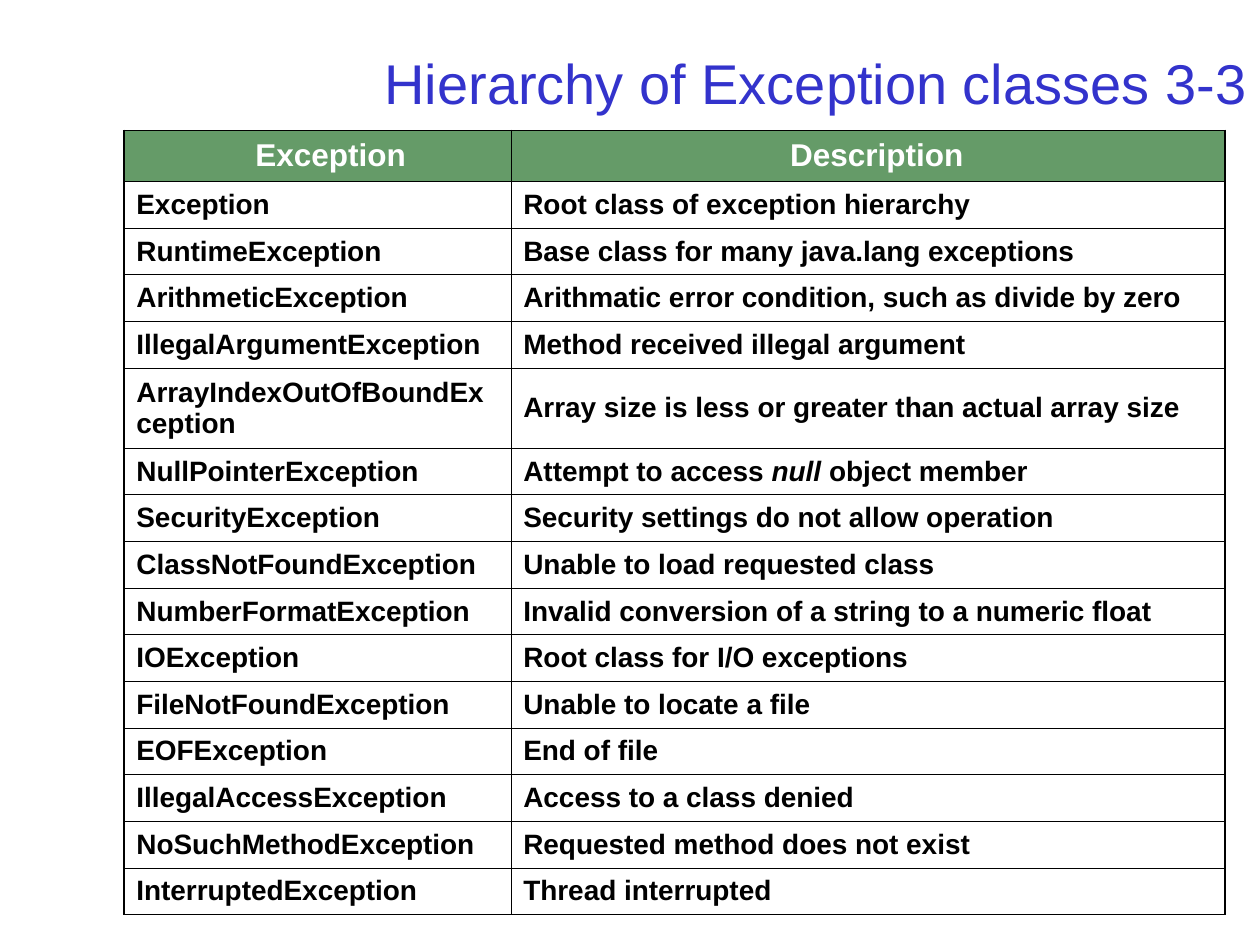
from dataclasses import dataclass

from lxml.etree import SubElement
from pptx import Presentation
from pptx.dml.color import RGBColor
from pptx.enum.text import MSO_ANCHOR as Anchor, PP_ALIGN as Align
from pptx.oxml.ns import qn
from pptx.slide import Slide
from pptx.table import _Cell as Cell
from pptx.text.text import _Paragraph as Paragraph
from pptx.util import Cm, Pt

COLOURS = {"title": "3333CC", "header": "659B68", "header_text": "FFFFFF",
           "body": "FFFFFF", "body_text": "000000", "border": "000000"}
FONT = "Arial"
THIN, THICK = Pt(0.45), Pt(1.08)
COLUMN_WIDTHS = (Cm(7.8), Cm(14.4))
HEADER_HEIGHT, ROW_HEIGHT, WRAPPED_HEIGHT = Cm(1.03), Cm(0.94), Cm(1.61)
SIDE_MARGIN, END_MARGIN = Cm(0.25), Cm(0.13)
HEADER_INDENTS = (Cm(0.53), Cm(0.35))


@dataclass(frozen=True)
class ExceptionEntry:
    """One exception class, its description and any italic word in it."""

    name: str
    description: str
    italic: str = ""
    height: int = ROW_HEIGHT


HEADINGS = ExceptionEntry("Exception", "Description", height=HEADER_HEIGHT)
ENTRIES = (
    ExceptionEntry("Exception", "Root class of exception hierarchy"),
    ExceptionEntry("RuntimeException", "Base class for many java.lang exceptions"),
    ExceptionEntry("ArithmeticException", "Arithmatic error condition, such as divide by zero"),
    ExceptionEntry("IllegalArgumentException", "Method received illegal argument"),
    ExceptionEntry("ArrayIndexOutOfBoundException",
                   "Array size is less or greater than actual array size",
                   height=WRAPPED_HEIGHT),
    ExceptionEntry("NullPointerException", "Attempt to access null object member", "null"),
    ExceptionEntry("SecurityException", "Security settings do not allow operation"),
    ExceptionEntry("ClassNotFoundException", "Unable to load requested class"),
    ExceptionEntry("NumberFormatException", "Invalid conversion of a string to a numeric float"),
    ExceptionEntry("IOException", "Root class for I/O exceptions"),
    ExceptionEntry("FileNotFoundException", "Unable to locate a file"),
    ExceptionEntry("EOFException", "End of file"),
    ExceptionEntry("IllegalAccessException", "Access to a class denied"),
    ExceptionEntry("NoSuchMethodException", "Requested method does not exist"),
    ExceptionEntry("InterruptedException", "Thread interrupted"),
)


def colour(part: str) -> RGBColor:
    """Return the colour of a part of the slide."""
    return RGBColor.from_string(COLOURS[part])


def format_runs(paragraph: Paragraph, size: int, part: str, bold: bool) -> None:
    """Apply one font to every run of a paragraph."""
    for run in paragraph.runs:
        run.font.name, run.font.size, run.font.bold = FONT, Pt(size), bold
        run.font.color.rgb = colour(part)


def write_text(paragraph: Paragraph, text: str, italic: str) -> None:
    """Write a text, setting one word of it in italics."""
    if not italic:
        paragraph.text = text
        return
    for piece in text.partition(italic):
        run = paragraph.add_run()
        run.text = piece
        run.font.italic = piece == italic


def set_borders(cell: Cell, widths: dict[str, int]) -> None:
    """Draw the four borders of a cell before its fill is set."""
    properties = cell._tc.get_or_add_tcPr()
    for side, width in widths.items():
        line = SubElement(properties, qn(f"a:{side}"), w=str(int(width)))
        fill = SubElement(line, qn("a:solidFill"))
        SubElement(fill, qn("a:srgbClr"), val=COLOURS["border"])


def add_title(slide: Slide, text: str) -> None:
    """Add the right-aligned slide title."""
    title = slide.shapes.add_textbox(Cm(1.9), Cm(0.75), Cm(23.5), Cm(1.8))
    frame = title.text_frame
    frame.word_wrap = True
    frame.vertical_anchor = Anchor.MIDDLE
    frame.text = text
    frame.paragraphs[0].alignment = Align.RIGHT
    format_runs(frame.paragraphs[0], 32, "title", False)


def fill_cell(cell: Cell, text: str, italic: str, column: int,
              is_header: bool, is_last: bool) -> None:
    """Write and style one cell of the exception table."""
    set_borders(cell, {"lnL": THIN if column else THICK,
                       "lnR": THICK if column else THIN,
                       "lnT": THICK if is_header else THIN,
                       "lnB": THICK if is_last else THIN})
    cell.fill.solid()
    cell.fill.fore_color.rgb = colour("header" if is_header else "body")
    cell.vertical_anchor = Anchor.MIDDLE
    cell.margin_left = cell.margin_right = SIDE_MARGIN
    cell.margin_top = cell.margin_bottom = END_MARGIN
    paragraph = cell.text_frame.paragraphs[0]
    write_text(paragraph, text, italic)
    if is_header:
        cell.margin_left = SIDE_MARGIN + HEADER_INDENTS[column]
        paragraph.alignment = Align.CENTER
        format_runs(paragraph, 18, "header_text", True)
    else:
        format_runs(paragraph, 16, "body_text", True)


def add_exception_table(slide: Slide) -> None:
    """Add the table of exception classes."""
    rows = (HEADINGS, *ENTRIES)
    table = slide.shapes.add_table(len(rows), len(COLUMN_WIDTHS), Cm(2.5), Cm(2.63),
                                   sum(COLUMN_WIDTHS),
                                   sum(entry.height for entry in rows)).table
    table.horz_banding = False
    for column, width in enumerate(COLUMN_WIDTHS):
        table.columns[column].width = width
    for index, entry in enumerate(rows):
        table.rows[index].height = entry.height
        is_header, is_last = entry is HEADINGS, entry is rows[-1]
        fill_cell(table.cell(index, 0), entry.name, "", 0, is_header, is_last)
        fill_cell(table.cell(index, 1), entry.description, entry.italic, 1,
                  is_header, is_last)


def main() -> None:
    """Build and save the slide."""
    presentation = Presentation()
    presentation.slide_width, presentation.slide_height = Cm(25.4), Cm(19.05)
    slide = presentation.slides.add_slide(presentation.slide_layouts[6])
    add_title(slide, "Hierarchy of Exception classes 3-3")
    add_exception_table(slide)
    presentation.save("out.pptx")


if __name__ == "__main__":
    main()
